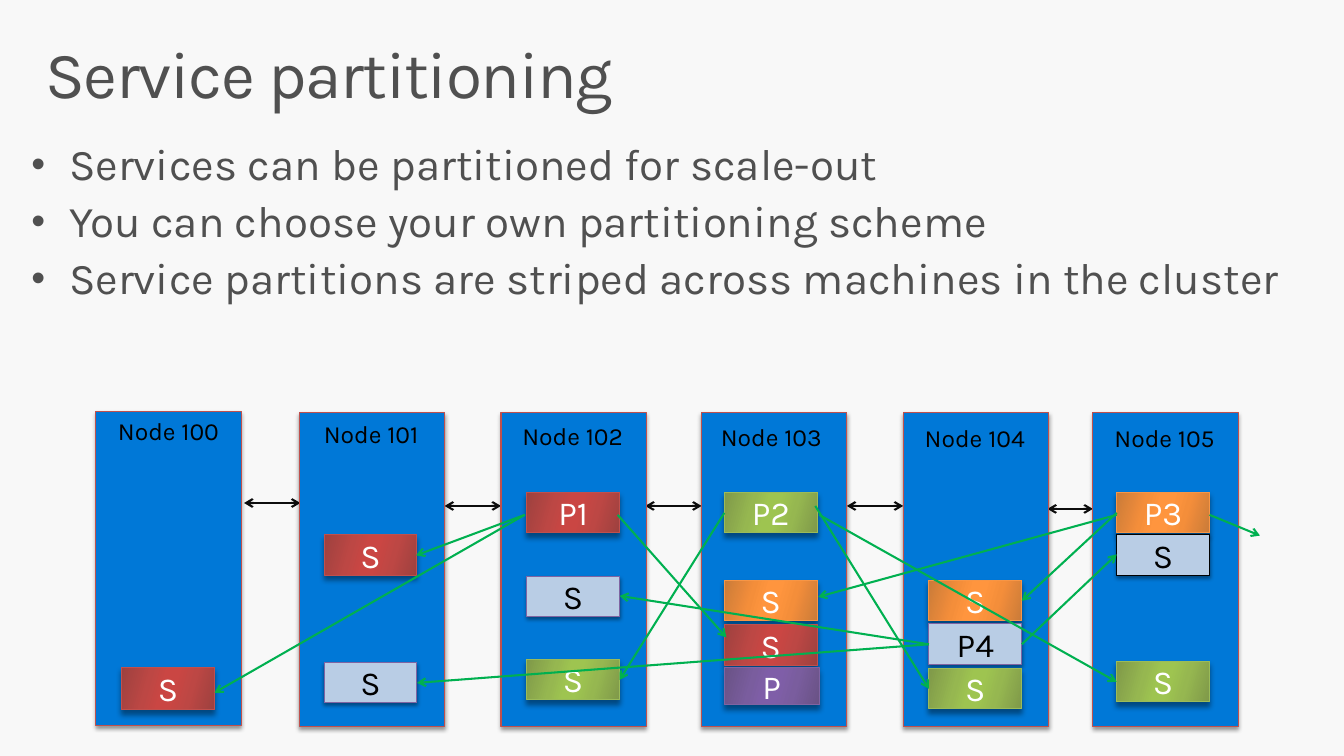
from dataclasses import dataclass

from lxml.etree import SubElement
from pptx import Presentation
from pptx.dml.color import RGBColor
from pptx.enum.shapes import MSO_CONNECTOR, MSO_SHAPE
from pptx.enum.text import MSO_ANCHOR, MSO_AUTO_SIZE, PP_ALIGN
from pptx.oxml.ns import qn
from pptx.util import Pt

EMU_PER_PX = 9144
NODE_SIZE = (147, 318)
REPLICA_SIZE = (94, 41)
LABEL_SIZE = (123, 40)


@dataclass(frozen=True)
class Theme:
    font: str = "Karla"
    background: str = "F8F8F8"
    text: str = "505050"
    black: str = "000000"
    node: tuple = ("0078D7", "C0504D")
    gap: str = "0D0D0D"
    link: str = "00B050"
    title_size: float = 48
    body_size: float = 32
    replica_size: float = 24.5
    label_size: float = 18


THEME = Theme()

# Gradient edge, shoulder and centre colours, or one plain fill; then line, text
REPLICA_STYLES = {
    "red": (("9D413F", "BD4744", "CA4643"), "C0504D", "FFFFFF"),
    "green": (("7F9949", "96B750", "9EC450"), "9BBB59", "FFFFFF"),
    "orange": (("CA7B39", "F48E3A", "FF953E"), "F79646", "FFFFFF"),
    "purple": (("695285", "7A5D9E", "7F5EA8"), "8064A2", "FFFFFF"),
    "pale": ("B9CDE5", "8064A2", "000000"),
    "outlined": ("B9CDE5", "000000", "000000"),
}

BULLETS = [
    "Services can be partitioned for scale-out",
    "You can choose your own partitioning scheme",
    "Service partitions are striped across machines in the cluster",
]

# Label, node corner, label corner, replica left, replicas (text, style, top, *size)
NODES = [
    ("Node 100", (97, 416), (109, 416), 123, [("S", "red", 675, 94, 43)]),
    ("Node 101", (303, 417), (314, 419), 328,
     [("S", "red", 541), ("S", "pale", 670)]),
    ("Node 102", (507, 417), (518, 421), 533,
     [("P1", "red", 498), ("S", "pale", 583), ("S", "green", 667)]),
    ("Node 103", (710, 417), (719, 422), 733,
     [("P2", "green", 498), ("S", "orange", 587), ("S", "red", 632),
      ("P", "purple", 676, 96, 37)]),
    ("Node 104", (914, 417), (925, 423), 940,
     [("S", "orange", 587), ("P4", "pale", 631), ("S", "green", 676)]),
    ("Node 105", (1106, 417), (1117, 423), 1130,
     [("P3", "orange", 498), ("S", "outlined", 541), ("S", "green", 669)]),
]

# Right end, left end, height
NODE_GAPS = [(304, 247, 509), (507, 450, 512), (710, 653, 512),
             (914, 857, 512), (1106, 1060, 515)]

REPLICATION_LINKS = [
    ((531, 521), (421, 562)), ((531, 521), (217, 701)),
    ((625, 521), (735, 645)),
    ((733, 519), (627, 688)), ((825, 512), (940, 697)),
    ((829, 521), (1130, 690)),
    ((1130, 521), (828, 604)), ((1130, 519), (1034, 608)),
    ((1224, 521), (1275, 542)),
    ((940, 652), (627, 603)), ((940, 652), (422, 691)),
    ((1034, 652), (1130, 561)),
]


def px(*values):
    return [v * EMU_PER_PX for v in values]


def rgb(color):
    return RGBColor.from_string(color)


def set_format(obj, **values):
    for name, value in values.items():
        setattr(obj, name, value)


def write(p, text, size, color):
    r = p.add_run()
    r.text = text
    set_format(r.font, name=THEME.font, size=Pt(size))
    r.font.color.rgb = rgb(color)
    return r


def add_shadow(sp, blur, dist):
    sp.shadow.inherit = False
    effects = sp.element.spPr.find(qn("a:effectLst"))
    shadow = SubElement(effects, qn("a:outerShdw"), blurRad=str(Pt(blur)),
                        dist=str(Pt(dist)), dir="5400000", rotWithShape="0")
    color = SubElement(shadow, qn("a:srgbClr"), val=THEME.black)
    SubElement(color, qn("a:alpha"), val="40000")


def fill_gradient(sp, edge, shoulder, centre):
    """Fill with a band that is symmetric about its centre."""
    sp.fill.gradient()
    grad = sp.element.spPr.find(qn("a:gradFill"))
    stops = grad.find(qn("a:gsLst"))
    for gs in list(stops):
        stops.remove(gs)
    colors = (edge, shoulder, centre, centre, shoulder, edge)
    for pos, color in zip((0, 30, 45, 55, 73, 100), colors):
        gs = SubElement(stops, qn("a:gs"), pos=str(pos * 1000))
        SubElement(gs, qn("a:srgbClr"), val=color)
    grad.find(qn("a:lin")).set("ang", str(16 * 60000))


def add_box(s, corner, size, fill, line):
    sp = s.shapes.add_shape(MSO_SHAPE.RECTANGLE, *px(*corner, *size))
    if isinstance(fill, tuple):
        fill_gradient(sp, *fill)
        add_shadow(sp, 4, 3.4)
    else:
        sp.fill.solid()
        sp.fill.fore_color.rgb = rgb(fill)
        add_shadow(sp, 3, 2)
    sp.line.color.rgb = rgb(line)
    sp.line.width = Pt(0.75)
    return sp


def add_replica(s, left, text, style, top, *size):
    fill, line, color = REPLICA_STYLES[style]
    sp = add_box(s, (left, top), size or REPLICA_SIZE, fill, line)
    tf = sp.text_frame
    tf.vertical_anchor = MSO_ANCHOR.MIDDLE
    p = tf.paragraphs[0]
    p.alignment = PP_ALIGN.CENTER
    write(p, text, THEME.replica_size, color)


def add_label(s, text, corner):
    tf = s.shapes.add_textbox(*px(*corner, *LABEL_SIZE)).text_frame
    tf.word_wrap = False
    p = tf.paragraphs[0]
    p.alignment = PP_ALIGN.CENTER
    write(p, text, THEME.label_size, THEME.black)


def add_arrow(s, kind, start, end, color, ends):
    cxn = s.shapes.add_connector(kind, *px(*start, *end))
    cxn.line.color.rgb = rgb(color)
    cxn.line.width = Pt(1.5)
    spPr = cxn.element.spPr
    for end_name in ends:
        SubElement(spPr.find(qn("a:ln")), qn(f"a:{end_name}"), type="arrow")
    SubElement(spPr, qn("a:effectLst"))


def set_title(s, text):
    sp = s.shapes.title
    left, top, width, height = px(30, 32, 1300, 100)
    set_format(sp, left=left, top=top, width=width, height=height)
    side, edge = px(16, 10)
    tf = sp.text_frame
    set_format(tf, margin_left=side, margin_right=side, margin_top=edge,
               margin_bottom=edge, vertical_anchor=MSO_ANCHOR.TOP,
               word_wrap=True, auto_size=MSO_AUTO_SIZE.NONE)
    p = tf.paragraphs[0]
    set_format(p, alignment=PP_ALIGN.LEFT, line_spacing=0.9)
    r = write(p, text, THEME.title_size, THEME.text)
    r.font._element.set("spc", "-100")


def add_bullets(s, lines):
    tf = s.shapes.add_textbox(*px(22, 139, 1338, 302)).text_frame
    tf.word_wrap = True
    indent = px(38)[0]
    for i, line in enumerate(lines):
        p = tf.add_paragraph() if i else tf.paragraphs[0]
        set_format(p, line_spacing=0.9, space_before=Pt(7))
        write(p, line, THEME.body_size, THEME.text)
        pPr = p._p.get_or_add_pPr()
        pPr.set("marL", str(indent))
        pPr.set("indent", str(-indent))
        SubElement(pPr, qn("a:buSzPct"), val="90000")
        SubElement(pPr, qn("a:buFont"), typeface="Arial")
        SubElement(pPr, qn("a:buChar"), char="•")


def main():
    prs = Presentation()
    prs.slide_width, prs.slide_height = px(1360, 765)
    s = prs.slides.add_slide(prs.slide_layouts[5])
    s.background.fill.solid()
    s.background.fill.fore_color.rgb = rgb(THEME.background)
    set_title(s, "Service partitioning")
    add_bullets(s, BULLETS)
    for right, left, y in NODE_GAPS:
        add_arrow(s, MSO_CONNECTOR.ELBOW, (right, y), (left, y), THEME.gap,
                  ("headEnd", "tailEnd"))
    for label, corner, label_corner, replica_left, replicas in NODES:
        add_box(s, corner, NODE_SIZE, *THEME.node)
        add_label(s, label, label_corner)
        for replica in replicas:
            add_replica(s, replica_left, *replica)
    for start, end in REPLICATION_LINKS:
        add_arrow(s, MSO_CONNECTOR.STRAIGHT, start, end, THEME.link, ("tailEnd",))
    prs.save("out.pptx")


if __name__ == "__main__":
    main()
